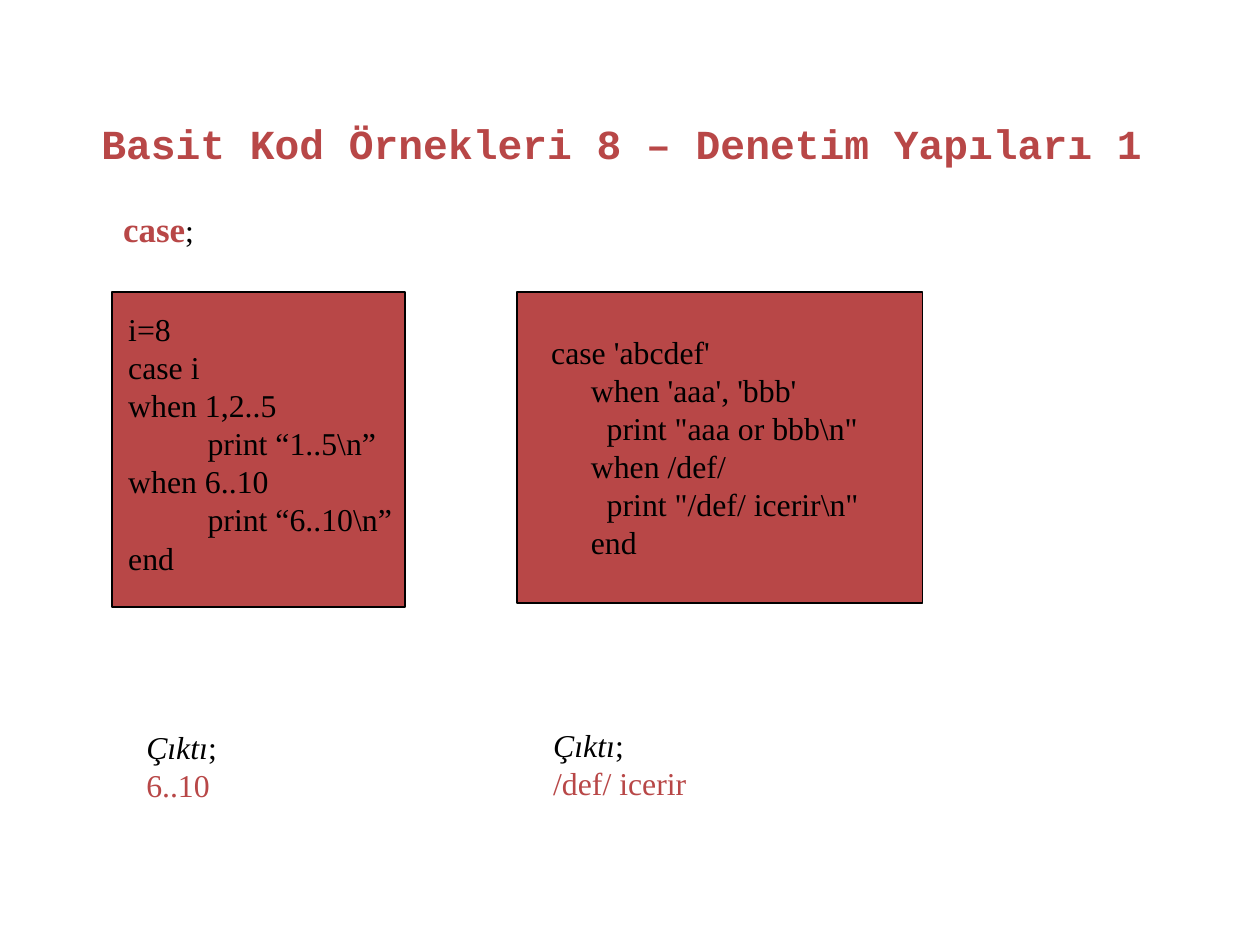
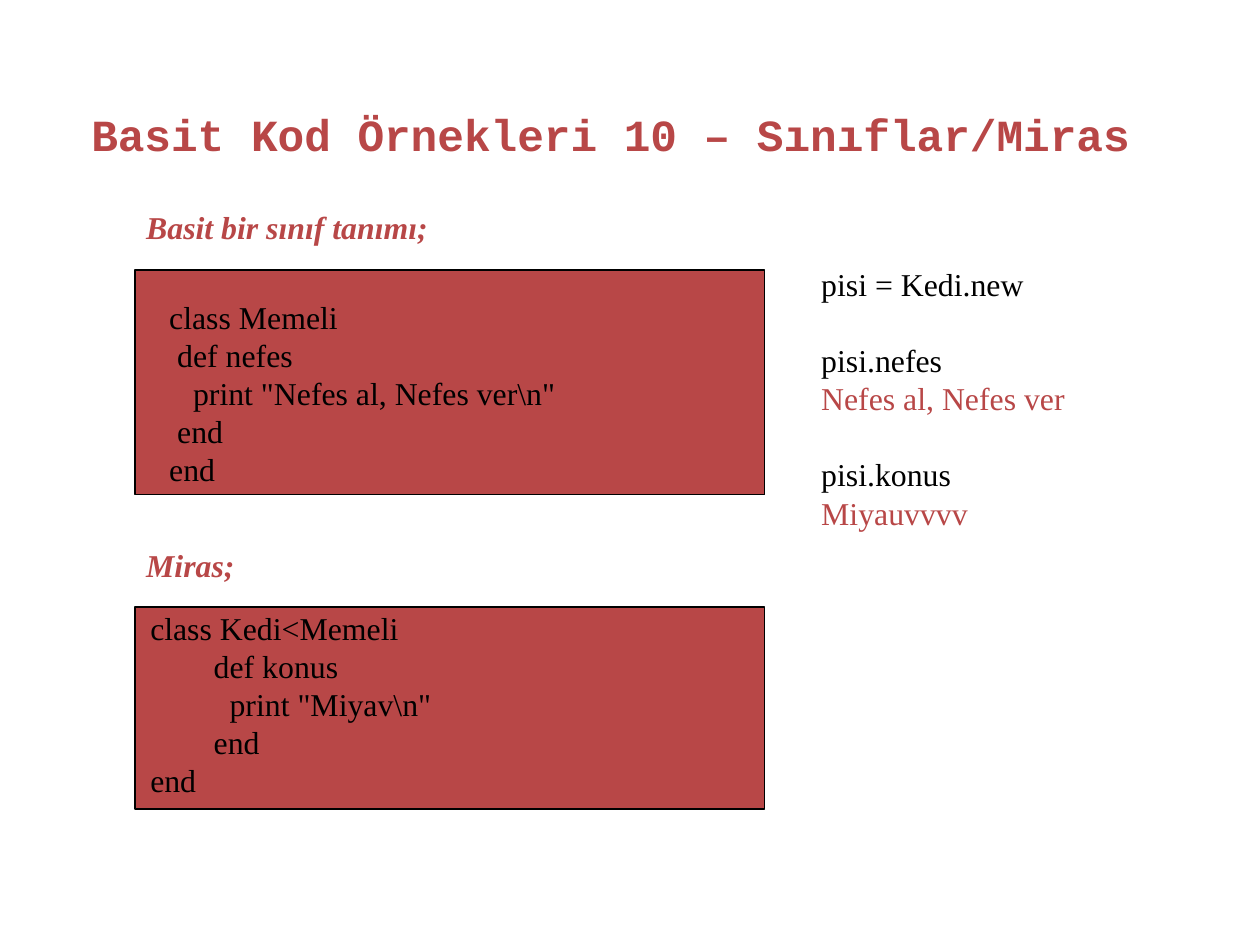
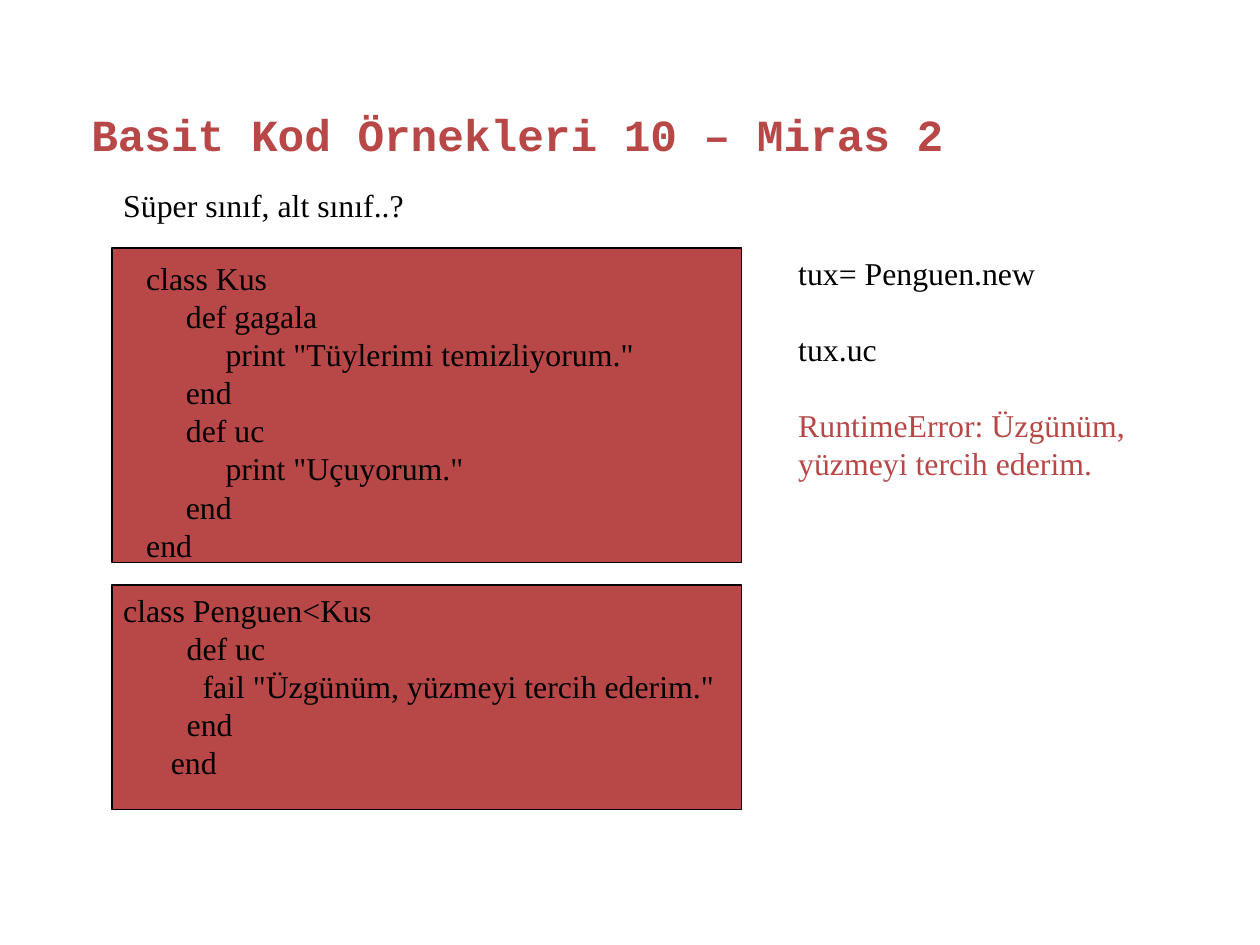
"""Three slides of Ruby code examples: case, classes and inheritance."""
from pptx import Presentation
from pptx import util as u
from pptx.dml.color import RGBColor
from pptx.enum import shapes, text

PX = 8000
COLORS = {"accent": "B84747", "ink": "000000", "page": "FFFFFF"}
BODY = {"size": 20, "font": "Times New Roman", "color": "ink"}
OUTPUT = {"color": "accent"}
HEADING = {"color": "accent", "bold": True, "italic": True}
KEYWORD = {"color": "accent", "bold": True, "size": 22}
RESULT_LABEL = [("Çıktı", {"italic": True}), (";", {})]


def add_text(slide, box, lines, spaced=(), leading=24, wrap=True):
    """Write lines of runs; the lines numbered in spaced follow a gap."""
    frame = slide.shapes.add_textbox(*[v * PX for v in box]).text_frame
    frame.word_wrap = wrap
    frame.auto_size = text.MSO_AUTO_SIZE.NONE
    for number, line in enumerate(lines):
        paragraph = frame.paragraphs[0] if number == 0 else frame.add_paragraph()
        if leading:
            paragraph.line_spacing = u.Pt(leading)
        if number in spaced:
            paragraph.space_before = u.Pt(24)
        for words, changes in [(line, {})] if isinstance(line, str) else line:
            style = BODY | changes
            run = paragraph.add_run()
            run.text = words
            run.font.size = u.Pt(style["size"])
            run.font.name = style["font"]
            run.font.bold = style.get("bold", False)
            run.font.italic = style.get("italic", False)
            run.font.color.rgb = RGBColor.from_string(COLORS[style["color"]])


lessons = [
    {
        "title": ("Basit Kod Örnekleri 8 – Denetim Yapıları 1", (90, 113, 1068, 59), 26),
        "panels": [(112, 292, 293, 315), (517, 292, 406, 311)],
        "texts": [
            {"box": (112, 202, 135, 50), "leading": 26.4,
             "lines": [[("case", KEYWORD), (";", {})]]},
            {"box": (117, 304, 288, 293),
             "lines": ["i=8", "case i", "when 1,2..5", "          print “1..5\\n”",
                       "when 6..10", "          print “6..10\\n”", "end"]},
            {"box": (135, 722, 158, 88), "lines": [RESULT_LABEL, [("6..10", OUTPUT)]]},
            {"box": (540, 327, 360, 258),
             "lines": ["case 'abcdef'", "     when 'aaa', 'bbb'",
                       '       print "aaa or bbb\\n"', "     when /def/",
                       '       print "/def/ icerir\\n"', "     end"]},
            {"box": (542, 720, 170, 88), "lines": [RESULT_LABEL, [("/def/ icerir", OUTPUT)]]},
        ],
    },
    {
        "title": ("Basit Kod Örnekleri 10 – Sınıflar/Miras", (80, 101, 1112, 63), 28),
        "panels": [(135, 270, 630, 225), (135, 607, 630, 202)],
        "texts": [
            {"box": (158, 292, 607, 202),
             "lines": ["class Memeli", " def nefes",
                       '   print "Nefes al, Nefes ver\\n"', " end", "end"]},
            {"box": (135, 202, 495, 50), "lines": [[("Basit bir sınıf tanımı;", HEADING)]]},
            {"box": (139, 603, 536, 202),
             "lines": ["class Kedi<Memeli", "        def konus",
                       '          print "Miyav\\n"', "        end", "end"]},
            {"box": (135, 540, 450, 50), "lines": [[("Miras;", HEADING)]]},
            {"box": (810, 259, 270, 279), "spaced": (1, 3),
             "lines": ["pisi = Kedi.new", "pisi.nefes", [("Nefes al, Nefes ver", OUTPUT)],
                       "pisi.konus", [("Miyauvvvv", OUTPUT)]]},
        ],
    },
    {
        "title": ("Basit Kod Örnekleri 10 – Miras 2", (80, 101, 1112, 63), 28),
        "panels": [(112, 248, 630, 315), (112, 585, 630, 225)],
        "texts": [
            {"box": (112, 180, 855, 50), "lines": ["Süper sınıf, alt sınıf..?"]},
            {"box": (135, 253, 585, 317),
             "lines": ["class Kus", "     def gagala",
                       '          print "Tüylerimi temizliyorum."', "     end",
                       "     def uc", '          print "Uçuyorum."', "     end", "end"]},
            {"box": (112, 585, 630, 202),
             "lines": ["class Penguen<Kus", "        def uc",
                       '          fail "Üzgünüm, yüzmeyi tercih ederim."',
                       "        end", "      end"]},
            {"box": (787, 248, 360, 270), "spaced": (1, 2),
             "lines": ["tux= Penguen.new", "tux.uc",
                       [("RuntimeError: Üzgünüm, yüzmeyi tercih ederim.", OUTPUT)]]},
        ],
    },
]

deck = Presentation()
deck.slide_width, deck.slide_height = 1260 * PX, 945 * PX
for lesson in lessons:
    slide = deck.slides.add_slide(deck.slide_layouts[6])
    slide.background.fill.solid()
    slide.background.fill.fore_color.rgb = RGBColor.from_string(COLORS["page"])
    words, box, size = lesson["title"]
    title_style = {"size": size, "font": "Courier New", "color": "accent", "bold": True}
    add_text(slide, box, [[(words, title_style)]], leading=None, wrap=False)
    for box in lesson["panels"]:
        panel = slide.shapes.add_shape(shapes.MSO_SHAPE.RECTANGLE, *[v * PX for v in box])
        panel.shadow.inherit = False
        panel.fill.solid()
        panel.fill.fore_color.rgb = RGBColor.from_string(COLORS["accent"])
        panel.line.color.rgb = RGBColor.from_string(COLORS["ink"])
        panel.line.width = u.Pt(0)
    for block in lesson["texts"]:
        add_text(slide, **block)

deck.save("out.pptx")
